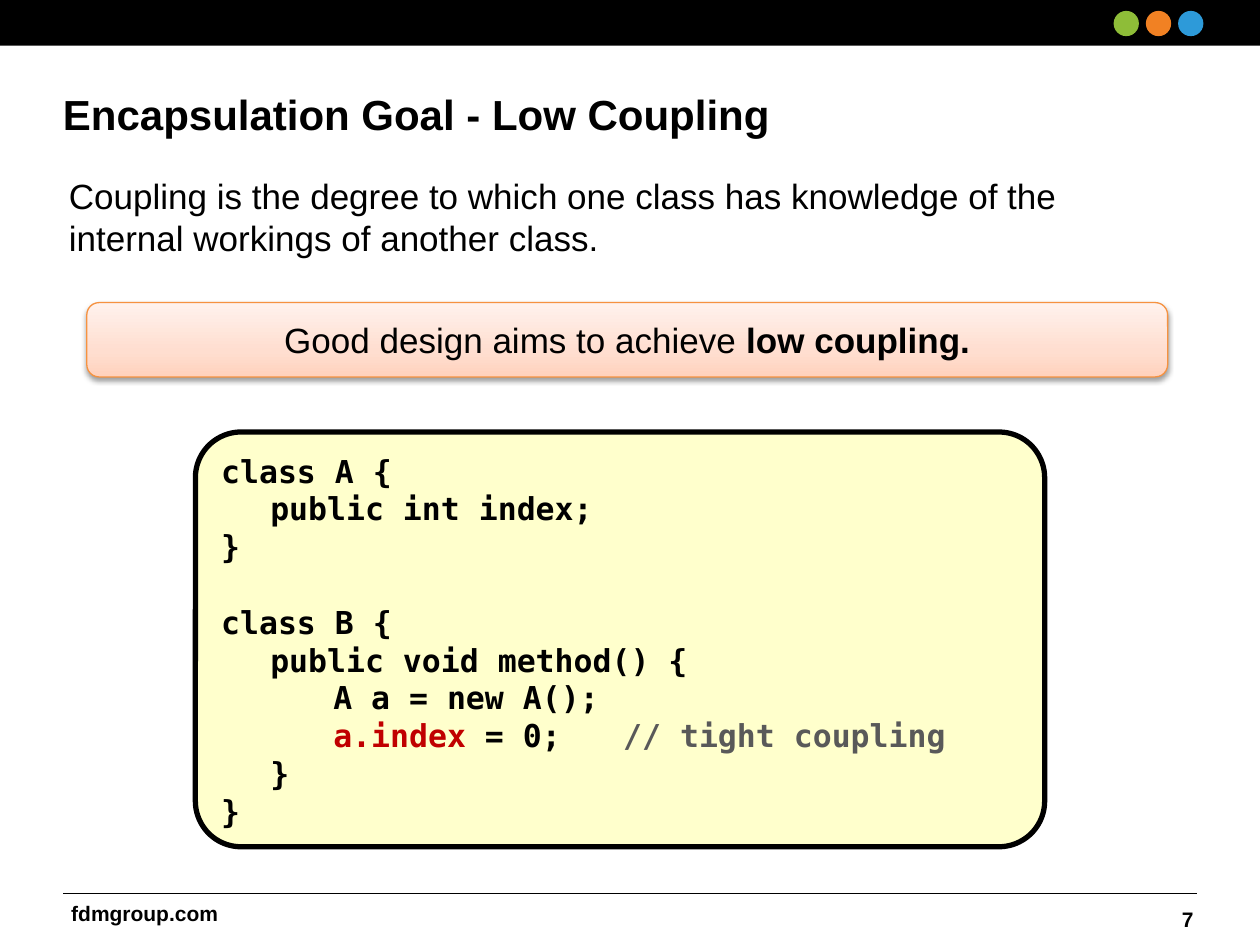
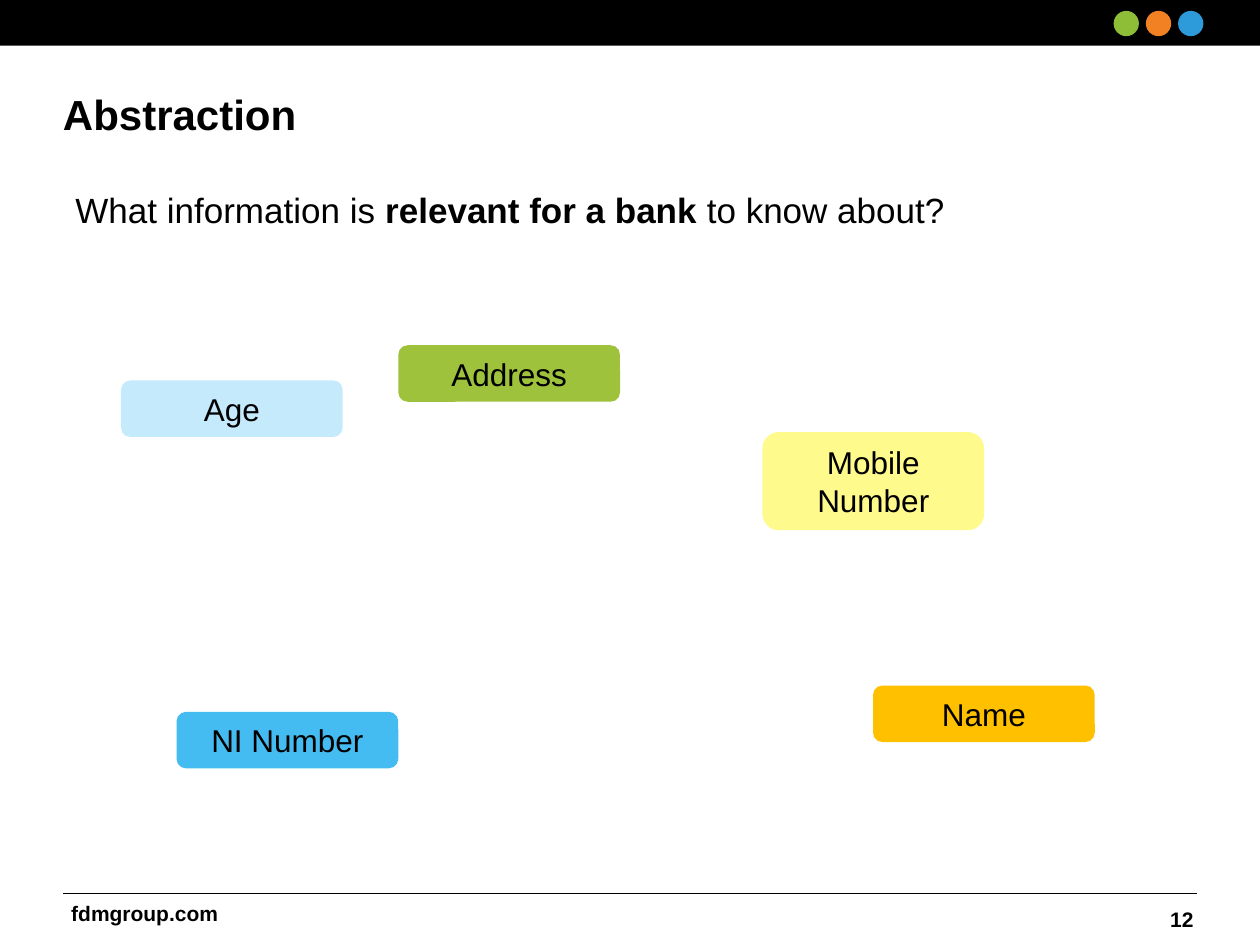
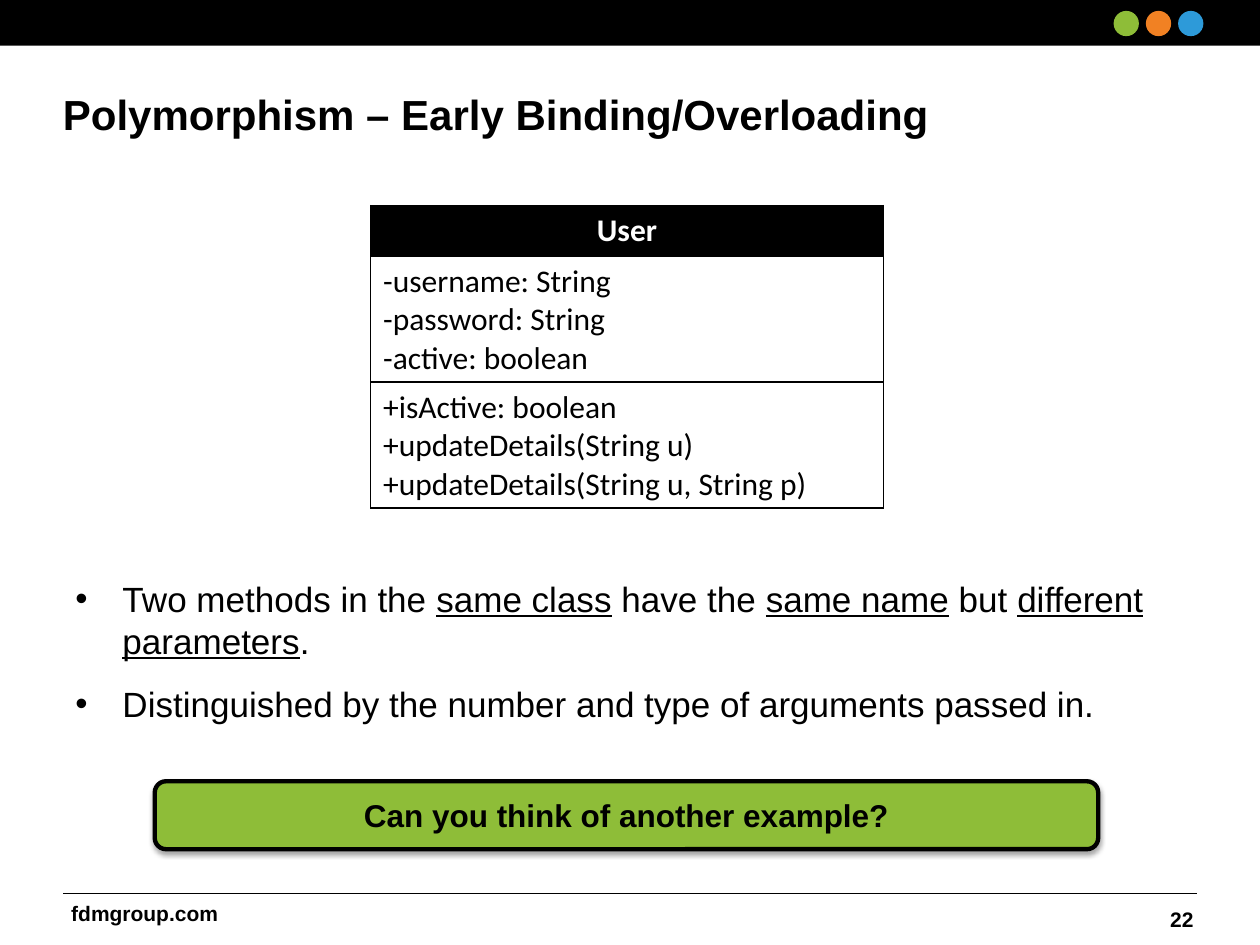
"""Builds three slides on encapsulation, abstraction and polymorphism."""
from dataclasses import dataclass
from typing import Optional

from lxml import etree
from pptx import Presentation
from pptx import util as u
from pptx.dml.color import RGBColor
from pptx.enum import shapes, text
from pptx.oxml import ns

Cm, Pt = u.Cm, u.Pt
LEFT, CENTER, RIGHT = text.PP_ALIGN.LEFT, text.PP_ALIGN.CENTER, text.PP_ALIGN.RIGHT
TOP, MIDDLE = text.MSO_ANCHOR.TOP, text.MSO_ANCHOR.MIDDLE
RECT, OVAL, ROUND = (shapes.MSO_SHAPE.RECTANGLE, shapes.MSO_SHAPE.OVAL,
                     shapes.MSO_SHAPE.ROUNDED_RECTANGLE)


@dataclass(frozen=True)
class Theme:
    black: str = "000000"
    white: str = "FFFFFF"
    green: str = "8EBD38"
    orange: str = "F18123"
    blue: str = "2D9AD9"
    code_fill: str = "FFFFCC"
    code_alert: str = "C00000"
    code_comment: str = "595959"
    peach_line: str = "F69240"
    peach: tuple = ((0, "FFD2BD"), (35, "FFDED0"), (100, "FFF2ED"))
    sans: str = "Arial"
    mono: str = "DejaVu Sans Mono"
    table_font: str = "Calibri"
    title: int = 24
    body: int = 20
    label: int = 18
    footer: int = 12


T = Theme()


@dataclass(frozen=True)
class Box:
    x: float
    y: float
    w: float
    h: float

    def emu(self) -> tuple:
        return Cm(self.x), Cm(self.y), Cm(self.w), Cm(self.h)


@dataclass(frozen=True)
class Run:
    text: str
    color: str = T.black
    bold: bool = False
    underline: bool = False


@dataclass(frozen=True)
class Para:
    runs: tuple
    align: text.PP_ALIGN = LEFT
    before: float = 0
    margin: float = 0
    bullet: bool = False


@dataclass(frozen=True)
class Shadow:
    alpha: int
    blur: float
    dist: float


@dataclass(frozen=True)
class Tag:
    label: str
    x: float
    y: float
    fill: str
    h: float = 1.14


def para(words: str, align: text.PP_ALIGN = LEFT, color: str = T.black,
         bold: bool = False) -> Para:
    return Para((Run(words, color, bold),), align)


def sub(parent, tag: str, **attrs):
    return etree.SubElement(parent, ns.qn(tag), {k: str(v) for k, v in attrs.items()})


def write(tf, paras: list, size: int, font: str = T.sans) -> None:
    for i, item in enumerate(paras):
        p = tf.paragraphs[0] if i == 0 else tf.add_paragraph()
        p.alignment = item.align
        if item.before:
            p.space_before = Pt(item.before)
        if item.margin:
            pPr = p._p.get_or_add_pPr()
            pPr.set("marL", str(Cm(item.margin)))
            pPr.set("indent", str(-Cm(item.margin) if item.bullet else 0))
            if item.bullet:
                sub(pPr, "a:buFont", typeface=T.sans)
                sub(pPr, "a:buChar", char="•")
        for run in item.runs:
            r = p.add_run()
            r.text = run.text
            f = r.font
            f.name, f.size, f.bold, f.underline = font, Pt(size), run.bold, run.underline
            f.color.rgb = RGBColor.from_string(run.color)


def add_text(slide, box: Box, paras: list, size: int, anchor: text.MSO_ANCHOR = TOP,
             wrap: bool = True, insets: Optional[tuple] = None) -> None:
    tf = slide.shapes.add_textbox(*box.emu()).text_frame
    tf.word_wrap, tf.vertical_anchor = wrap, anchor
    if insets:
        tf.margin_left, tf.margin_top, tf.margin_right, tf.margin_bottom = map(Cm, insets)
    write(tf, paras, size)


def add_shape(slide, kind: shapes.MSO_SHAPE, box: Box, fill: str,
              line: Optional[str] = None, width: float = 0.75,
              shadow: Optional[Shadow] = None):
    sp = slide.shapes.add_shape(kind, *box.emu())
    sp.shadow.inherit = False
    sp.fill.solid()
    sp.fill.fore_color.rgb = RGBColor.from_string(fill)
    if line:
        sp.line.color.rgb = RGBColor.from_string(line)
        sp.line.width = Pt(width)
    else:
        sp.line.fill.background()
    if shadow:
        effects = sp._element.spPr.find(ns.qn("a:effectLst"))
        outer = sub(effects, "a:outerShdw", blurRad=Pt(shadow.blur),
                    dist=Pt(shadow.dist), dir=5400000, rotWithShape=0)
        sub(sub(outer, "a:srgbClr", val=T.black), "a:alpha", val=shadow.alpha * 1000)
    return sp


def add_label(sp, paras: list, size: int) -> None:
    sp.text_frame.vertical_anchor = MIDDLE
    write(sp.text_frame, paras, size)


def set_gradient(sp, stops: tuple, angle: int) -> None:
    spPr = sp._element.spPr
    grad = etree.Element(ns.qn("a:gradFill"), rotWithShape="1")
    gsLst = sub(grad, "a:gsLst")
    for pos, color in stops:
        sub(sub(gsLst, "a:gs", pos=pos * 1000), "a:srgbClr", val=color)
    sub(grad, "a:lin", ang=angle * 60000, scaled=0)
    spPr.replace(spPr.find(ns.qn("a:solidFill")), grad)


def set_borders(cell, color: str, width: float) -> None:
    tcPr = cell._tc.get_or_add_tcPr()
    for i, side in enumerate(("a:lnL", "a:lnR", "a:lnT", "a:lnB")):
        ln = etree.Element(ns.qn(side), w=str(Pt(width)))
        sub(sub(ln, "a:solidFill"), "a:srgbClr", val=color)
        tcPr.insert(i, ln)


def new_slide(prs, title: str, number: int):
    slide = prs.slides.add_slide(prs.slide_layouts[6])
    add_text(slide, Box(1.12, 18.03, 3.53, 0.76),
             [para("fdmgroup.com", RIGHT, bold=True)], T.footer, MIDDLE, wrap=False)
    rule = slide.shapes.add_connector(shapes.MSO_CONNECTOR.STRAIGHT,
                                      Cm(1.27), Cm(18.01), Cm(24.13), Cm(18.01))
    rule.line.color.rgb = RGBColor.from_string(T.black)
    rule.line.width = Pt(1)
    sub(rule._element.spPr, "a:effectLst")
    add_shape(slide, RECT, Box(0, 0, 25.4, 0.92), T.black)
    for i, color in enumerate((T.green, T.orange, T.blue)):
        add_shape(slide, OVAL, Box(22.45 + 0.65 * i, 0.22, 0.51, 0.51), color)
    add_text(slide, Box(18.39, 18.01, 5.92, 1.02),
             [para(str(number), RIGHT, bold=True)], T.footer, MIDDLE)
    add_text(slide, Box(1.27, 1.78, 22.86, 1.14), [para(title, bold=True)],
             T.title, insets=(0, 0, 0, 0.13))
    return slide


def code_line(*runs: tuple, level: int = 0, before: float = 0) -> Para:
    return Para(tuple(Run(words, color, True) for words, color in runs),
                before=before, margin=(0, 0.99, 2.26)[level])


def coupling_slide(prs) -> None:
    slide = new_slide(prs, "Encapsulation Goal - Low Coupling", 7)
    add_text(slide, Box(1.14, 3.4, 22.86, 2.06),
             [para("Coupling is the degree to which one class has knowledge of "
                   "the internal workings of another class.")], T.body)
    code = add_shape(slide, ROUND, Box(3.94, 8.71, 17.12, 8.36), T.code_fill, T.black, 3)
    code.adjustments[0] = 0.11
    code.text_frame.vertical_anchor = TOP
    write(code.text_frame, [
        code_line(("class A {", T.black)),
        code_line(("public int index;", T.black), level=1),
        code_line(("}", T.black)),
        code_line(("class B {", T.black), before=21.6),
        code_line(("public void method() {", T.black), level=1),
        code_line(("A a = new A();", T.black), level=2),
        code_line(("a.index", T.code_alert), (" = 0;\t", T.black),
                  ("  // tight coupling", T.code_comment), level=2),
        code_line(("}", T.black), level=1),
        code_line(("}", T.black)),
    ], T.label, T.mono)
    goal = add_shape(slide, ROUND, Box(1.75, 6.1, 21.79, 1.5), T.peach[0][1],
                     T.peach_line, shadow=Shadow(38, 3.1, 1.6))
    set_gradient(goal, T.peach, 270)
    add_label(goal, [Para((Run("Good design aims to achieve "),
                           Run("low coupling.", bold=True)), CENTER)], T.body)


def abstraction_slide(prs) -> None:
    slide = new_slide(prs, "Abstraction", 12)
    add_text(slide, Box(1.27, 3.68, 22.86, 1.5),
             [Para((Run("What information is "),
                    Run("relevant for a bank ", bold=True),
                    Run("to know about?")))], T.body)
    tags = (
        Tag("Age", 2.44, 7.67, "C5EAFB"),
        Tag("Name", 17.6, 13.82, "FFC000"),
        Tag("Address", 8.03, 6.96, "9EC23C"),
        Tag("NI Number", 3.56, 14.35, "44BCF1"),
        Tag("Mobile Number", 15.37, 8.71, "FFFA8C", 1.98),
    )
    for tag in tags:
        sp = add_shape(slide, ROUND, Box(tag.x, tag.y, 4.47, tag.h), tag.fill)
        add_label(sp, [para(tag.label, CENTER)], T.label)


def overloading_slide(prs) -> None:
    slide = new_slide(prs, "Polymorphism – Early Binding/Overloading", 22)
    add_text(slide, Box(1.27, 11.51, 22.86, 3.6), [
        Para((Run("Two methods in the "), Run("same class", underline=True),
              Run(" have the "), Run("same name", underline=True), Run(" but "),
              Run("different parameters", underline=True), Run(".")),
             margin=0.95, bullet=True),
        Para((Run("Distinguished by the number and type of arguments passed in."),),
             before=12, margin=0.95, bullet=True),
    ], T.body)
    rows = (
        (1.02, T.black, [para("User", CENTER, T.white, True)]),
        (2.54, T.white, [para("-username: String"), para("-password: String"),
                         para("-active: boolean")]),
        (2.54, T.white, [para("+isActive: boolean"), para("+updateDetails(String u)"),
                         para("+updateDetails(String u, String p)")]),
    )
    table = slide.shapes.add_table(len(rows), 1, *Box(7.47, 4.14, 10.34, 6.1).emu()).table
    table.first_row = table.horz_banding = False
    for i, (height, fill, paras) in enumerate(rows):
        table.rows[i].height = Cm(height)
        cell = table.cell(i, 0)
        cell.fill.solid()
        cell.fill.fore_color.rgb = RGBColor.from_string(fill)
        set_borders(cell, T.black, 0.75)
        write(cell.text_frame, paras, T.label, T.table_font)
    question = add_shape(slide, ROUND, Box(3.12, 15.75, 19.02, 1.37), T.green,
                         T.black, 2.5, Shadow(35, 3.1, 1.8))
    add_label(question, [para("Can you think of another example?", CENTER, bold=True)],
              T.label)


def main() -> None:
    prs = Presentation()
    prs.slide_width, prs.slide_height = Cm(25.4), Cm(19.05)
    coupling_slide(prs)
    abstraction_slide(prs)
    overloading_slide(prs)
    prs.save("out.pptx")


if __name__ == "__main__":
    main()
